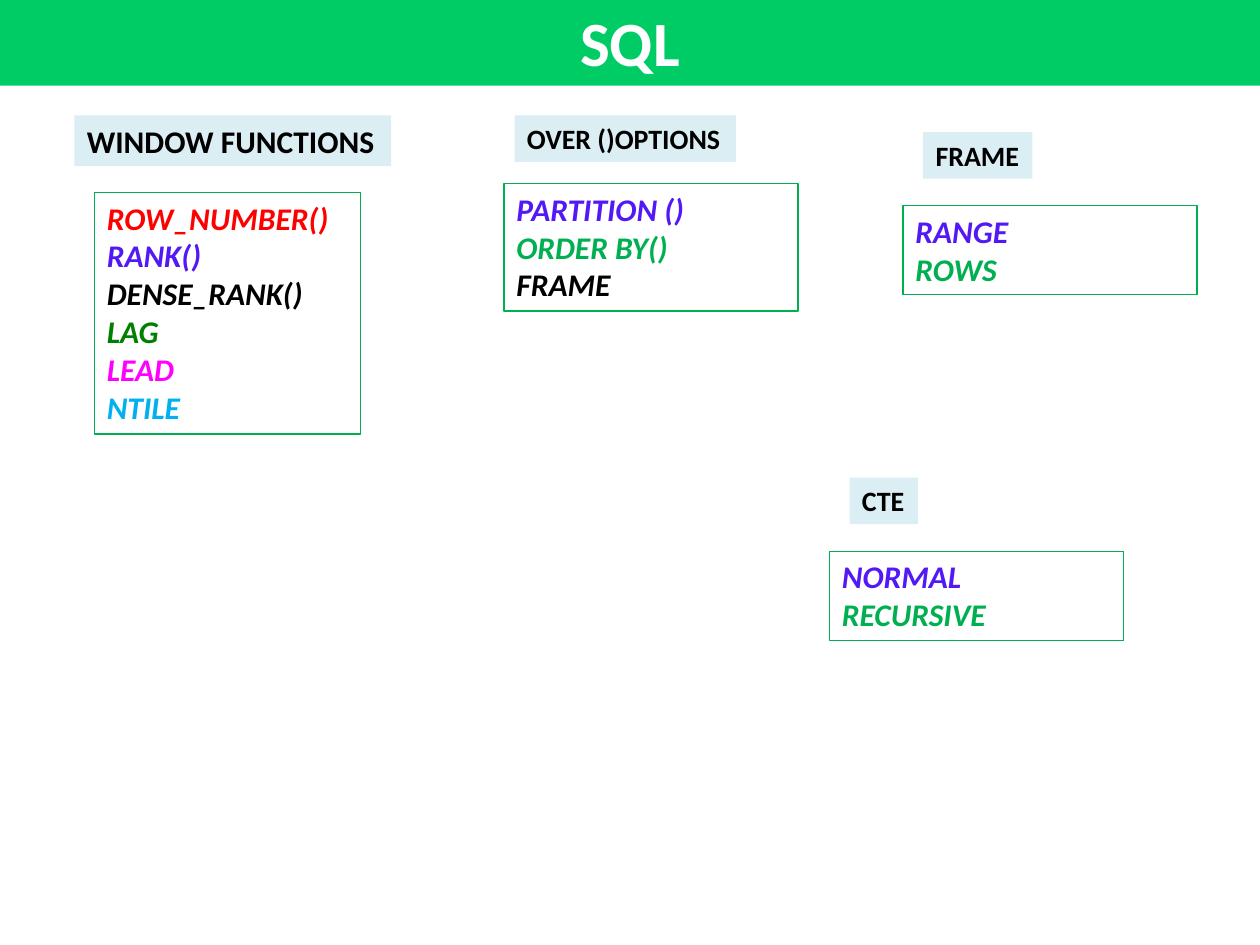
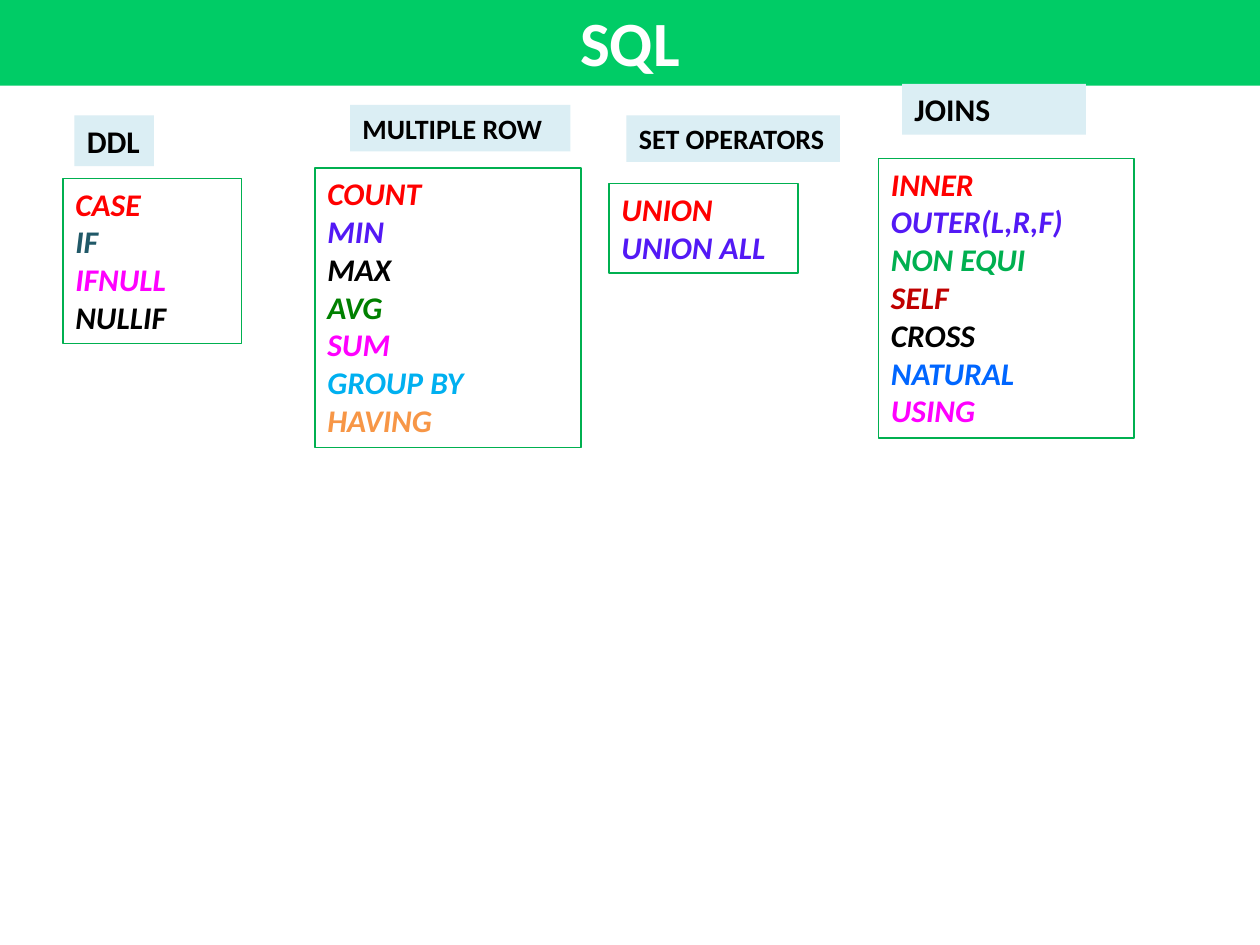
from pptx import Presentation
from pptx.dml.color import RGBColor
from pptx.enum.text import MSO_ANCHOR, MSO_AUTO_SIZE, PP_ALIGN
from pptx.util import Pt

MIDDLE, NO_FIT, CENTER = MSO_ANCHOR.MIDDLE, MSO_AUTO_SIZE.NONE, PP_ALIGN.CENTER

FONT = "Calibri"
WIDTH, HEIGHT = 720, 540
BAND, TINT, EDGE = "00CC66", "DBEEF4", "00B050"
WHITE, BLACK = "FFFFFF", "000000"
RED, VIOLET, GREEN, LEAF = "FF0000", "5319F5", "00B050", "008000"
PINK, SKY, TEAL, ORANGE = "FF00FF", "00B0F0", "215968", "F79646"
WINE, BLUE = "C00000", "0066FF"

LABEL_HIGH = {18: 29, 16: 26.6}
LINE, PAD = 21.75, 7.5

# Each topic: label (text, size, left, top, width), list (left, top, width), items
SLIDES = [
    ("SQL", [
        (("WINDOW FUNCTIONS", 18, 42.5, 66, 181), (54, 110, 152),
         [("ROW_NUMBER()", RED), ("RANK()", VIOLET), ("DENSE_RANK()", BLACK),
          ("LAG", LEAF), ("LEAD", PINK), ("NTILE", SKY)]),
        (("OVER ()OPTIONS", 16, 294, 66, 126.5), (288, 105, 168),
         [("PARTITION ()", VIOLET), ("ORDER BY()", GREEN), ("FRAME", BLACK)]),
        (("FRAME", 16, 527.5, 75.5, 62.5), (516, 117.5, 168),
         [("RANGE", VIOLET), ("ROWS", GREEN)]),
        (("CTE", 16, 485.5, 273, 39), (474, 315, 168),
         [("NORMAL", VIOLET), ("RECURSIVE", GREEN)]),
    ]),
    ("SQL", [
        (("DDL", 18, 42.5, 66, 45.5), (36, 102, 102),
         [("CASE", RED), ("IF", TEAL), ("IFNULL", PINK), ("NULLIF", BLACK)]),
        (("MULTIPLE ROW", 16, 200, 60, 126), (180, 96, 152),
         [("COUNT", RED), ("MIN", VIOLET), ("MAX", BLACK), ("AVG", LEAF),
          ("SUM", PINK), ("GROUP BY", SKY), ("HAVING", ORANGE)]),
        (("SET OPERATORS", 16, 358, 66, 122), (348, 105, 108),
         [("UNION", RED), ("UNION ALL", VIOLET)]),
        (("JOINS", 18, 515.5, 48, 105), (502, 90.5, 146),
         [("INNER", RED), ("OUTER(L,R,F)", VIOLET), ("NON EQUI", GREEN),
          ("SELF", WINE), ("CROSS", BLACK), ("NATURAL", BLUE), ("USING", PINK)]),
    ]),
]


def paint(target, color):
    """Give a fill one solid colour."""
    target.solid()
    target.fore_color.rgb = RGBColor.from_string(color)


def style(para, size, color, italic=False):
    font = para.font
    font.name, font.size, font.bold, font.italic = FONT, Pt(size), True, italic
    font.color.rgb = RGBColor.from_string(color)


def add_box(slide, left, top, width, height):
    box = slide.shapes.add_textbox(Pt(left), Pt(top), Pt(width), Pt(height))
    frame = box.text_frame
    frame.word_wrap = True
    frame.margin_right = 0
    return box


def add_title(slide, text):
    title = slide.shapes.title
    title.left, title.top = Pt(0), Pt(-2)
    title.width, title.height = Pt(WIDTH), Pt(51)
    paint(title.fill, BAND)
    frame = title.text_frame
    frame.text = text
    frame.auto_size, frame.vertical_anchor = NO_FIT, MIDDLE
    para = frame.paragraphs[0]
    para.alignment = CENTER
    style(para, 36, WHITE)


def add_label(slide, text, size, left, top, width):
    box = add_box(slide, left, top, width, LABEL_HIGH[size])
    paint(box.fill, TINT)
    box.text_frame.text = text
    style(box.text_frame.paragraphs[0], size, BLACK)


def add_list(slide, left, top, width, items):
    box = add_box(slide, left, top, width, LINE * len(items) + PAD)
    paint(box.line.fill, EDGE)
    box.line.width = Pt(0.75)
    frame = box.text_frame
    frame.text = "\n".join(text for text, _ in items)
    for para, (_, color) in zip(frame.paragraphs, items):
        style(para, 18, color, italic=True)


def main():
    deck = Presentation()
    deck.slide_width, deck.slide_height = Pt(WIDTH), Pt(HEIGHT)
    layout = deck.slide_layouts.get_by_name("Title Only")
    for title, topics in SLIDES:
        slide = deck.slides.add_slide(layout)
        add_title(slide, title)
        for label, place, items in topics:
            add_list(slide, *place, items)
            add_label(slide, *label)
    deck.save("out.pptx")


if __name__ == "__main__":
    main()
